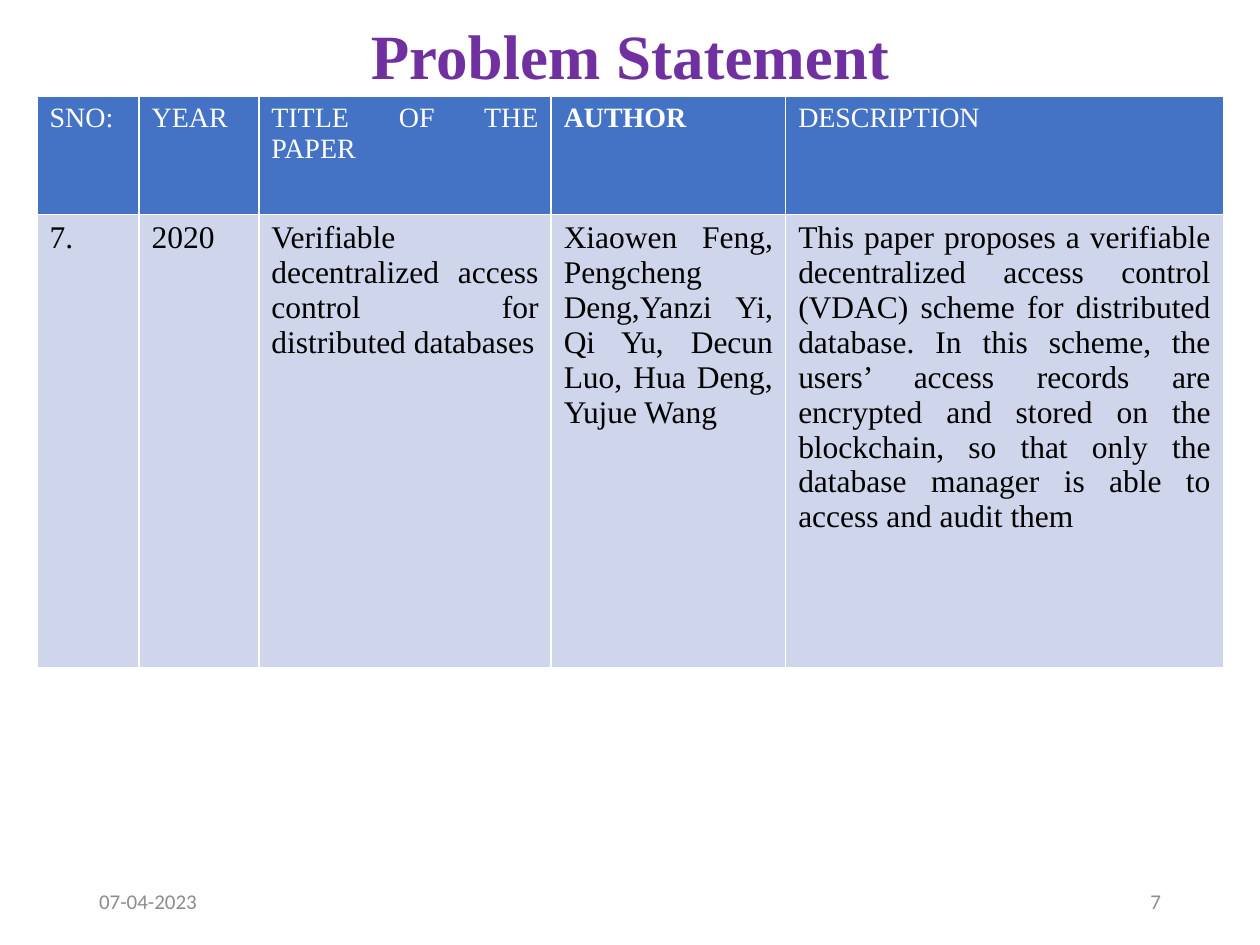
import pptx
import pptx.util
import pptx.dml.color
import pptx.enum.text
import pptx.oxml.ns
from lxml import etree

Pt = pptx.util.Pt
ALIGN = pptx.enum.text.PP_ALIGN
MIDDLE = pptx.enum.text.MSO_ANCHOR.MIDDLE
SERIF = "Times New Roman"

# Content
TITLE = "Problem Statement"
HEADINGS = ["SNO:", "YEAR", "TITLE OF THE PAPER", "AUTHOR", "DESCRIPTION"]
PAPER = [
    "7.",
    "2020",
    "Verifiable decentralized access control for distributed databases",
    "Xiaowen Feng, Pengcheng Deng,Yanzi Yi, Qi Yu, Decun Luo, Hua Deng, Yujue Wang",
    "This paper proposes a verifiable decentralized access control (VDAC) scheme for "
    "distributed database. In this scheme, the users’ access records are encrypted and "
    "stored on the blockchain, so that only the database manager is able to access and "
    "audit them",
]
COLUMN_WIDTHS = [58.3, 68.4, 167.1, 134, 250.2]
# Each row: texts, height, text size, text colour, fill
ROWS = [
    (HEADINGS, 67.5, 16, "FFFFFF", "4472C4"),
    (PAPER, 259.2, 18, "000000", "CFD5EA"),
]
MARGIN, CONTENT_WIDTH = 49.5, 621
FOOTER_WIDTH = 162
FOOTERS = [
    ("07-04-2023", MARGIN, ALIGN.LEFT),
    ("7", MARGIN + CONTENT_WIDTH - FOOTER_WIDTH, ALIGN.RIGHT),
]


def rgb(code):
    return pptx.dml.color.RGBColor.from_string(code)


def write(frame, text, font, size, color, align, bold=False):
    frame.text = text
    paragraph = frame.paragraphs[0]
    paragraph.alignment = align
    run = paragraph.runs[0]
    run.font.name = font
    run.font.size = Pt(size)
    run.font.bold = bold
    run.font.color.rgb = rgb(color)
    return paragraph


def add_borders(cell, color="FFFFFF", width=1):
    qn = pptx.oxml.ns.qn
    properties = cell._tc.get_or_add_tcPr()
    for position, side in enumerate(["a:lnL", "a:lnR", "a:lnT", "a:lnB"]):
        line = etree.Element(qn(side), w=str(Pt(width)))
        fill = etree.SubElement(line, qn("a:solidFill"))
        etree.SubElement(fill, qn("a:srgbClr"), val=color)
        properties.insert(position, line)


presentation = pptx.Presentation()
presentation.slide_width, presentation.slide_height = Pt(720), Pt(540)
slide = presentation.slides.add_slide(presentation.slide_layouts[5])

# Title
title = slide.shapes.title
title.left, title.top = Pt(MARGIN), Pt(13)
title.width, title.height = Pt(CONTENT_WIDTH), Pt(41.8)
heading = write(title.text_frame, TITLE, SERIF, 36, "7030A0", ALIGN.CENTER, True)
heading.line_spacing = 0.9
title.text_frame.vertical_anchor = MIDDLE
title.text_frame.auto_size = pptx.enum.text.MSO_AUTO_SIZE.NONE

# Date and slide number
for text, left, align in FOOTERS:
    footer = slide.shapes.add_textbox(Pt(left), Pt(500.5), Pt(FOOTER_WIDTH), Pt(28.75))
    footer.text_frame.word_wrap = True
    footer.text_frame.vertical_anchor = MIDDLE
    write(footer.text_frame, text, "Calibri", 12, "8C8C8C", align)

# Literature table
papers = slide.shapes.add_table(
    len(ROWS), len(COLUMN_WIDTHS), Pt(21.2), Pt(55),
    Pt(sum(COLUMN_WIDTHS)), Pt(sum(row[1] for row in ROWS))).table
for column, width in zip(papers.columns, COLUMN_WIDTHS):
    column.width = Pt(width)
for row, (texts, height, size, color, fill) in zip(papers.rows, ROWS):
    row.height = Pt(height)
    for cell, text in zip(row.cells, texts):
        write(cell.text_frame, text, SERIF, size, color, ALIGN.JUSTIFY, text == "AUTHOR")
        cell.fill.solid()
        cell.fill.fore_color.rgb = rgb(fill)
        add_borders(cell)

presentation.save("out.pptx")
